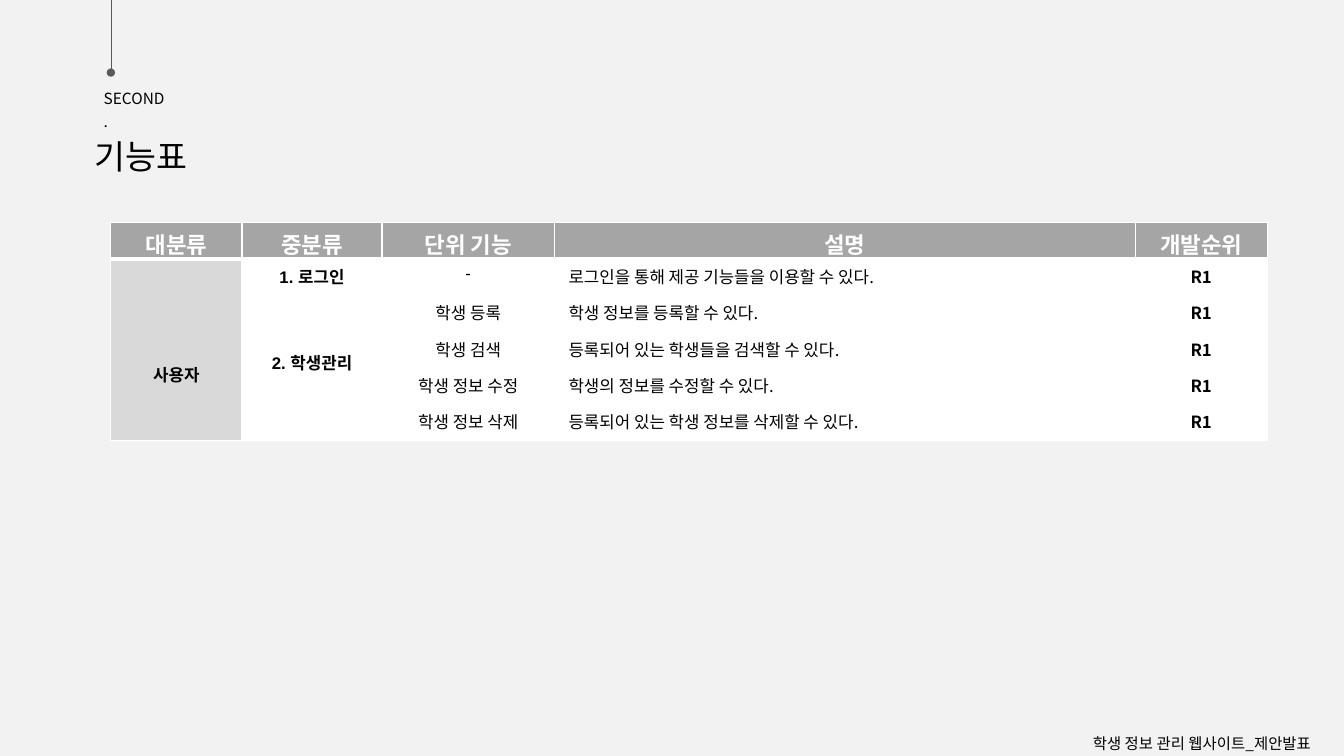
from lxml import etree
from pptx import Presentation
from pptx import util as u
from pptx.dml.color import RGBColor
from pptx.enum import shapes, text
from pptx.oxml import ns

BACKDROP = RGBColor(0xF2, 0xF2, 0xF2)
BLACK = RGBColor(0, 0, 0)
WHITE = RGBColor(0xFF, 0xFF, 0xFF)
HEADER_GREY = RGBColor(0xA5, 0xA5, 0xA5)
GROUP_GREY = RGBColor(0xD9, 0xD9, 0xD9)
LINE_GREY = RGBColor(0x59, 0x59, 0x59)
KOREAN, LATIN = "Noto Sans CJK KR", "Arial"
CENTER, LEFT = text.PP_ALIGN.CENTER, text.PP_ALIGN.LEFT

COLUMN_WIDTHS = [1.3, 1.39, 1.71, 5.76, 1.31]
HEADERS = ["대분류", "중분류", "단위 기능", "설명", "개발순위"]
FEATURES = [
    ("사용자", "1. 로그인", "-", "로그인을 통해 제공 기능들을 이용할 수 있다."),
    ("", "2. 학생관리", "학생 등록", "학생 정보를 등록할 수 있다."),
    ("", "", "학생 검색", "등록되어 있는 학생들을 검색할 수 있다."),
    ("", "", "학생 정보 수정", "학생의 정보를 수정할 수 있다."),
    ("", "", "학생 정보 삭제", "등록되어 있는 학생 정보를 삭제할 수 있다."),
]
PRIORITY = "R1"
TOP_MARGINS = {(1, 0): 1.02, (2, 1): 0.54}


def apply(target, values):
    for name, value in values.items():
        setattr(target, name, value)


def share(deck, left, top, width, height):
    return (int(deck.slide_width * left / 100), int(deck.slide_height * top / 100),
            int(deck.slide_width * width / 100), int(deck.slide_height * height / 100))


def add_element(parent, tag, **attributes):
    return etree.SubElement(parent, ns.qn(tag), attributes)


def write(para, words, size, color=BLACK, bold=False, latin=KOREAN):
    span = para.add_run()
    span.text = words
    apply(span.font, {"size": u.Pt(size), "bold": bold, "name": latin})
    span.font.color.rgb = color
    add_element(span.font._element, "a:ea", typeface=KOREAN)


def add_label(page, box, words, size):
    frame = page.shapes.add_textbox(*box).text_frame
    apply(frame, {"word_wrap": True, "auto_size": text.MSO_AUTO_SIZE.SHAPE_TO_FIT_TEXT})
    para = frame.paragraphs[0]
    para.line_spacing = 1.24
    write(para, words, size)


def add_marker_line(page, box):
    left, top, width, height = box
    line = page.shapes.add_connector(
        shapes.MSO_CONNECTOR.STRAIGHT, left, top, left + width, top + height)
    line.line.color.rgb = LINE_GREY
    line.line.width = u.Pt(0.25)
    add_element(line.line._get_or_add_ln(), "a:tailEnd", type="oval")
    add_element(line._element.spPr, "a:effectLst")


def add_borders(cell, bottom):
    properties = cell._tc.get_or_add_tcPr()
    for side, width in (("L", 1), ("R", 1), ("T", 1), ("B", bottom)):
        border = add_element(properties, "a:ln" + side, w=str(u.Pt(width)))
        fill = add_element(border, "a:solidFill")
        add_element(fill, "a:srgbClr", val=str(WHITE))


def fill_cell(cell, row, column, words):
    header = row == 0
    add_borders(cell, 3 if header else 1)
    cell.fill.solid()
    cell.fill.fore_color.rgb = (
        HEADER_GREY if header else GROUP_GREY if column == 0 else WHITE)
    description = column == 3 and not header
    apply(cell, {
        "margin_top": u.Inches(TOP_MARGINS.get((row, column), 0.05)),
        "margin_bottom": 0,
        "margin_left": u.Inches(0.14 if description else 0.1),
    })
    if not words:
        return
    para = cell.text_frame.paragraphs[0]
    para.alignment = LEFT if description else CENTER
    write(para, words, 16 if header else 12, WHITE if header else BLACK,
          bold=header or column in (0, 1, 4),
          latin=LATIN if words == "-" or (column == 1 and not header) else KOREAN)


def add_feature_table(page, box):
    left, top, width, height = box
    rows = [HEADERS] + [(*feature, PRIORITY) for feature in FEATURES]
    table = page.shapes.add_table(len(rows), len(HEADERS), *box).table
    apply(table, {"first_row": False, "horz_banding": False})
    for column, weight in zip(table.columns, COLUMN_WIDTHS):
        column.width = int(width * weight / sum(COLUMN_WIDTHS))
    for row in table.rows:
        row.height = height // len(rows)
    for row, entries in enumerate(rows):
        for column, words in enumerate(entries):
            fill_cell(table.cell(row, column), row, column, words)
    for first_row, column in TOP_MARGINS:
        table.cell(first_row, column).merge(table.cell(len(rows) - 1, column))


def add_feature_page(deck):
    page = deck.slides.add_slide(deck.slide_layouts[6])
    page.background.fill.solid()
    page.background.fill.fore_color.rgb = BACKDROP
    add_label(page, share(deck, 6.98, 10.53, 6.08, 4.4), "SECOND.", 11)
    add_label(page, share(deck, 6.3, 16, 9.08, 7.33), "기능표", 24)
    add_marker_line(page, share(deck, 8.25, 0, 0, 9.6))
    add_feature_table(page, share(deck, 8.25, 29.47, 86.05, 28.8))
    add_label(page, share(deck, 80.57, 95.87, 19.43, 4.13), "학생 정보 관리 웹사이트_제안발표", 11)


deck = Presentation()
apply(deck, {"slide_width": u.Inches(13.33), "slide_height": u.Inches(7.5)})
add_feature_page(deck)
deck.save("out.pptx")
